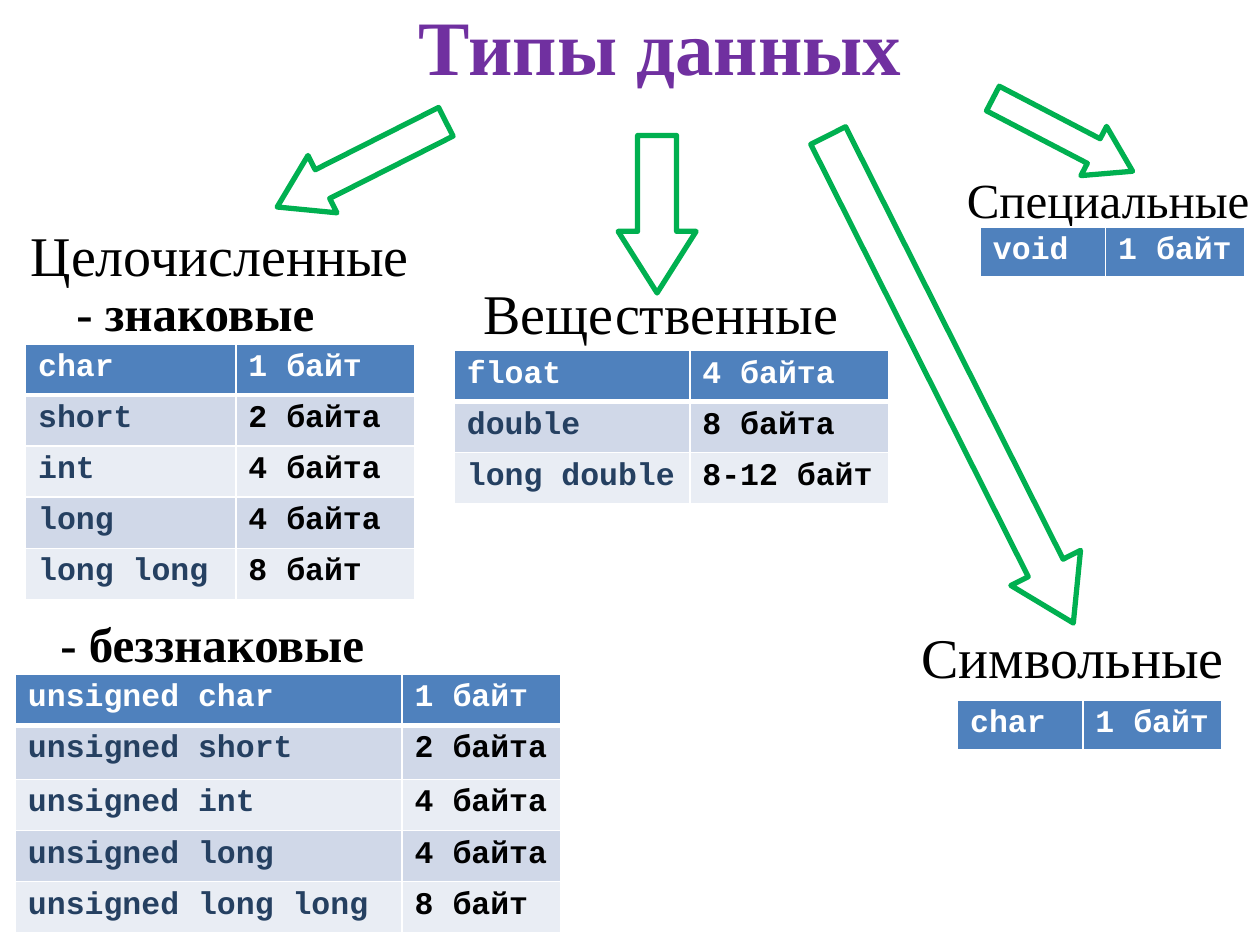
"""Builds a slide that groups the C++ data types with their sizes."""
from lxml import etree
from pptx import Presentation
from pptx.dml.color import RGBColor
from pptx.enum.shapes import MSO_SHAPE
from pptx.enum.text import MSO_ANCHOR, PP_ALIGN
from pptx.oxml.ns import qn
from pptx.util import Pt

LEFT_ARROW = MSO_SHAPE.LEFT_ARROW
MIDDLE = MSO_ANCHOR.MIDDLE
CENTER = PP_ALIGN.CENTER
SERIF = "Times New Roman"
MONO = "Courier New"
ROW_HEIGHT = 29.2
COLORS = {
    "title": "7030A0",
    "arrow": "00B050",
    "text": "000000",
    "type": "254061",
    "white": "FFFFFF",
    "header": "4F81BD",
    "odd": "D0D8E8",
    "even": "E9EDF4",
}

LABELS = [
    ("Типы данных", (194.4, 0, 365.8, 51.1), 44, True, "title"),
    ("Целочисленные", (6.5, 122.4, 238.3, 45.4), 32, False, "text"),
    ("Вещественные", (261.4, 155.5, 232.6, 45.4), 32, False, "text"),
    ("Символьные", (516.2, 352.1, 193.7, 45.4), 32, False, "text"),
    ("- знаковые", (36, 160.6, 151.2, 35.3), 28, True, "text"),
    ("- беззнаковые", (26.6, 349.9, 189.4, 35.3), 28, True, "text"),
    ("Специальные", (540.7, 92.2, 185, 42.5), 28, False, "text"),
]
ARROWS = [
    ((152.6, 75.6, 108, 36.7), 333.2),
    ((330.5, 100.1, 90, 44.6), 270),
    ((387.4, 194.4, 311.8, 44.6), 243.3),
    ((562.3, 61.2, 90, 31.7), 207.5),
]
SIGNED = [("char", "1 байт"), ("short", "2 байта"), ("int", "4 байта"),
          ("long", "4 байта"), ("long long", "8 байт")]
UNSIGNED = [("unsigned " + name, size) for name, size in SIGNED]
REAL = [("float", "4 байта"), ("double", "8 байта"), ("long double", "8-12 байт")]
TABLES = [
    (SIGNED, (14.6, 196.5), (120.2, 102), {}),
    (REAL, (259.6, 200.3), (134.6, 113.8), {}),
    ([("char", "1 байт")], (547.2, 400.2), (71.6, 79.6), {}),
    (UNSIGNED, (8.8, 385.2), (221, 90.7), {1: 31}),
    ([("void", "1 байт")], (560.2, 129.6), (71.6, 79.6), {}),
]


def color(name):
    """Return the named colour."""
    return RGBColor.from_string(COLORS[name])


def format_text(paragraph, font_name, size, bold, color_name):
    """Format every run of a paragraph."""
    for run in paragraph.runs:
        run.font.name = font_name
        run.font.size = Pt(size)
        run.font.bold = bold
        run.font.color.rgb = color(color_name)


def add_label(slide, text, box, size, bold, color_name):
    """Add a centred heading."""
    text_frame = slide.shapes.add_textbox(*map(Pt, box)).text_frame
    text_frame.word_wrap = True
    text_frame.vertical_anchor = MIDDLE
    text_frame.margin_left = text_frame.margin_right = 0
    text_frame.margin_top = text_frame.margin_bottom = 0
    text_frame.text = text
    paragraph = text_frame.paragraphs[0]
    paragraph.alignment = CENTER
    format_text(paragraph, SERIF, size, bold, color_name)


def add_arrow(slide, box, rotation):
    """Add an outlined, rotated block arrow."""
    arrow = slide.shapes.add_shape(LEFT_ARROW, *map(Pt, box))
    arrow.rotation = rotation
    arrow.adjustments[0] = 0.5
    arrow.adjustments[1] = 0.79
    arrow.shadow.inherit = False
    arrow.fill.background()
    arrow.line.color.rgb = color("arrow")
    arrow.line.width = Pt(3)


def set_borders(cell, widths):
    """Give a cell white borders, ordered left, right, top, bottom."""
    properties = cell._tc.get_or_add_tcPr()
    for side, width in zip("LRTB", widths):
        line = etree.SubElement(properties, qn("a:ln" + side), w=str(Pt(width)))
        fill = etree.SubElement(line, qn("a:solidFill"))
        etree.SubElement(fill, qn("a:srgbClr"), val=COLORS["white"])


def fill_cell(cell, text, row, column):
    """Write and style one cell by its place in the table."""
    set_borders(cell, (1, 1, 3 if row == 1 else 1, 3 if row == 0 else 1))
    if row == 0:
        background, foreground = "header", "white"
    else:
        background = "odd" if row % 2 else "even"
        foreground = "text" if column else "type"
    cell.fill.solid()
    cell.fill.fore_color.rgb = color(background)
    cell.text_frame.text = text
    format_text(cell.text_frame.paragraphs[0], MONO, 18, True, foreground)


def add_type_table(slide, rows, position, widths, tall_rows):
    """Add a table of types and their sizes."""
    heights = [tall_rows.get(row, ROW_HEIGHT) for row in range(len(rows))]
    box = (*position, sum(widths), sum(heights))
    table = slide.shapes.add_table(len(rows), len(widths), *map(Pt, box)).table
    for column, width in zip(table.columns, widths):
        column.width = Pt(width)
    for row, (values, height) in enumerate(zip(rows, heights)):
        table.rows[row].height = Pt(height)
        for column, text in enumerate(values):
            fill_cell(table.cell(row, column), text, row, column)


def main():
    """Build and save the slide."""
    presentation = Presentation()
    presentation.slide_width = Pt(720)
    presentation.slide_height = Pt(540)
    slide = presentation.slides.add_slide(presentation.slide_layouts[6])
    for arrow in ARROWS:
        add_arrow(slide, *arrow)
    for label in LABELS:
        add_label(slide, *label)
    for table in TABLES:
        add_type_table(slide, *table)
    presentation.save("out.pptx")


if __name__ == "__main__":
    main()
